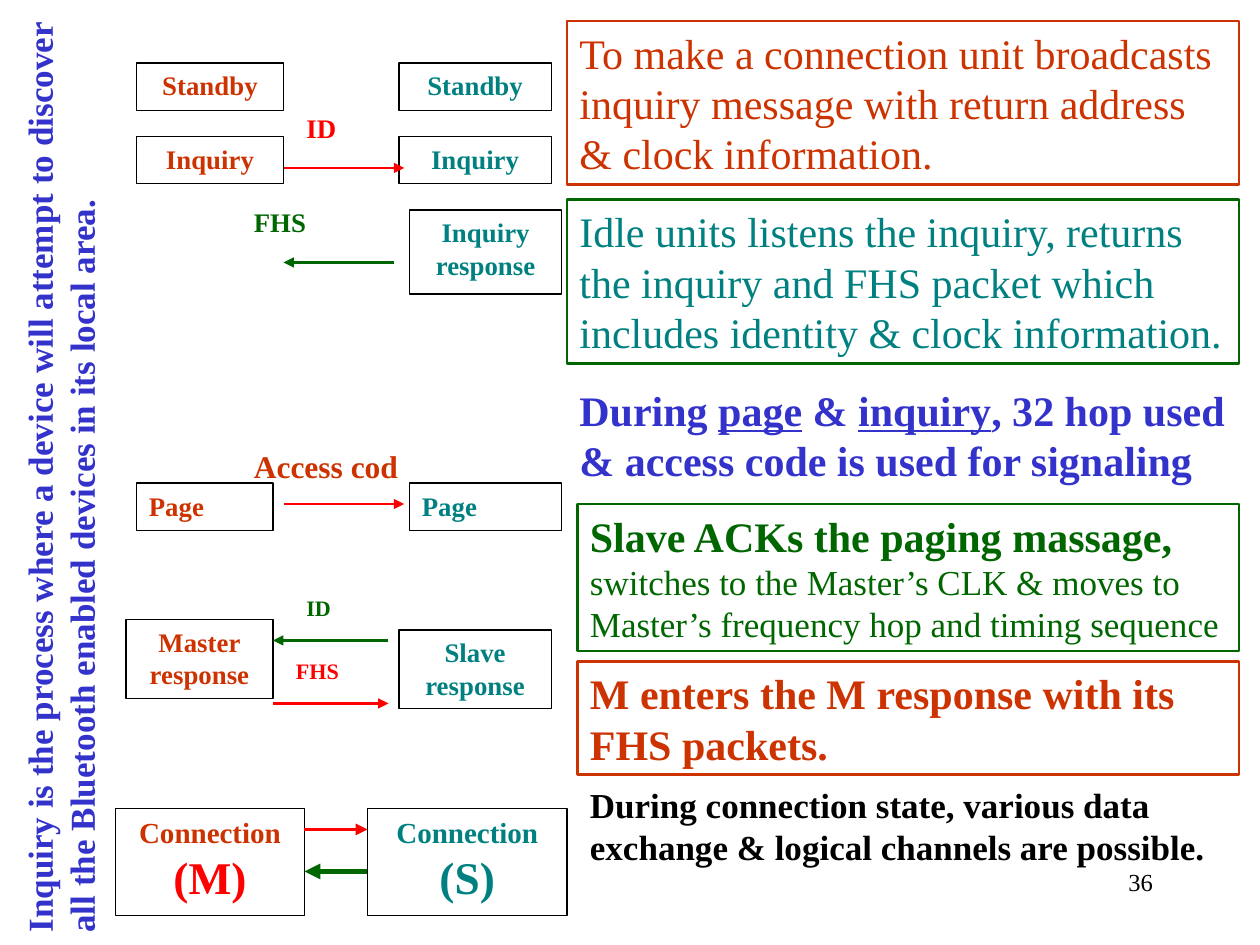
from dataclasses import dataclass

from lxml.etree import SubElement
from pptx import Presentation
from pptx.dml.color import RGBColor
from pptx.enum.shapes import MSO_CONNECTOR, MSO_SHAPE
from pptx.enum.text import MSO_ANCHOR, MSO_AUTO_SIZE, PP_ALIGN
from pptx.oxml.ns import qn
from pptx.util import Inches, Pt


@dataclass(frozen=True)
class Theme:
    font: str = "Times New Roman"
    master: str = "CC3300"
    slave: str = "008080"
    send: str = "FF0000"
    reply: str = "006600"
    remark: str = "3333CC"
    ink: str = "000000"
    paper: str = "FFFFFF"
    large: float = 24
    medium: float = 20
    code: float = 18
    state: float = 15.3
    small: float = 12.6
    number: float = 14
    link: float = 16.6
    role: float = 25.9


THEME = Theme()
CELLS_PER_INCH = 12  # the slide is a grid of 120 columns by 90 rows


def cells(count):
    return Inches(count / CELLS_PER_INCH)


def color(code):
    return RGBColor.from_string(code)


def run(text, size, ink, bold=True, underline=False):
    return text, size, ink, bold, underline


def write(shape, paragraphs, align=PP_ALIGN.LEFT, grow=False):
    """Fill a shape with paragraphs, each a list of runs."""
    frame = shape.text_frame
    frame.word_wrap = True
    frame.vertical_anchor = MSO_ANCHOR.TOP
    frame.auto_size = MSO_AUTO_SIZE.SHAPE_TO_FIT_TEXT if grow else MSO_AUTO_SIZE.NONE
    for index, runs in enumerate(paragraphs):
        paragraph = frame.add_paragraph() if index else frame.paragraphs[0]
        paragraph.alignment = align
        for text, size, ink, bold, underline in runs:
            part = paragraph.add_run()
            part.text = text
            part.font.name = THEME.font
            part.font.size = Pt(size)
            part.font.bold = bold
            part.font.underline = underline
            part.font.color.rgb = color(ink)


def add_box(slide, area, paragraphs, align=PP_ALIGN.LEFT, fill=None,
            line=None, weight=0.75, grow=False):
    """Add a rectangle; area is column, row, columns wide, rows high."""
    shape = slide.shapes.add_shape(MSO_SHAPE.RECTANGLE, *map(cells, area))
    shape.shadow.inherit = False
    if fill:
        shape.fill.solid()
        shape.fill.fore_color.rgb = color(fill)
    else:
        shape.fill.background()
    if line:
        shape.line.color.rgb = color(line)
        shape.line.width = Pt(weight)
    else:
        shape.line.fill.background()
    write(shape, paragraphs, align, grow)


def add_state(slide, area, lines, ink, align=PP_ALIGN.CENTER):
    paragraphs = [[run(line, THEME.state, ink)] for line in lines]
    add_box(slide, area, paragraphs, align, THEME.paper, THEME.ink)


def add_connection(slide, area, role, ink, role_ink):
    paragraphs = [[run("Connection", THEME.link, ink)],
                  [run(role, THEME.role, role_ink)]]
    add_box(slide, area, paragraphs, PP_ALIGN.CENTER, THEME.paper, THEME.ink)


def add_label(slide, area, text, size, ink):
    add_box(slide, area, [[run(text, size, ink)]], fill=THEME.paper)


def add_note(slide, area, line, *runs):
    add_box(slide, area, [runs], line=line, weight=1.5, grow=True)


def add_text(slide, area, *runs, align=PP_ALIGN.LEFT, grow=True):
    box = slide.shapes.add_textbox(*map(cells, area))
    write(box, [runs], align, grow)
    return box


def add_arrow(slide, start, end, row, ink, weight=1.5):
    """Add a level arrow from one column to another."""
    arrow = slide.shapes.add_connector(
        MSO_CONNECTOR.STRAIGHT, cells(start), cells(row), cells(end), cells(row))
    arrow.line.color.rgb = color(ink)
    arrow.line.width = Pt(weight)
    SubElement(arrow.line._get_or_add_ln(), qn("a:tailEnd"), type="triangle")
    SubElement(arrow._element.spPr, qn("a:effectLst"))


def add_states(slide):
    for row, name in ((6, "Standby"), (13, "Inquiry")):
        add_state(slide, (13, row, 14, 4.5), [name], THEME.master)
        add_state(slide, (38, row, 14.5, 4.5), [name], THEME.slave)
    add_state(slide, (39, 20, 14.5, 8), ["Inquiry", "response"], THEME.slave)
    add_state(slide, (13, 46, 13, 4.5), ["Page"], THEME.master, PP_ALIGN.LEFT)
    add_state(slide, (39, 46, 14.5, 4.5), ["Page"], THEME.slave, PP_ALIGN.LEFT)
    add_state(slide, (12, 59, 14, 7.5), ["Master", "response"], THEME.master)
    add_state(slide, (38, 60, 14.5, 7.5), ["Slave", "response"], THEME.slave)
    add_connection(slide, (11, 77, 18, 10.2), "(M)", THEME.master, THEME.send)
    add_connection(slide, (35, 77, 19, 10.2), "(S)", THEME.slave, THEME.slave)


def add_messages(slide):
    # Arrows from master to slave, then the replies
    for start, end, row, weight in ((27, 38.5, 16, 1.5), (27, 38.5, 48, 1.5),
                                    (26, 37, 67, 1.5), (29, 35, 79, 2.25)):
        add_arrow(slide, start, end, row, THEME.send, weight)
    for start, end, row, weight in ((37.5, 27, 25, 1.5), (37, 26, 61, 1.5),
                                    (35, 29, 83, 3)):
        add_arrow(slide, start, end, row, THEME.reply, weight)
    # Names of the packets
    add_label(slide, (28, 10, 6, 4.4), "ID", THEME.state, THEME.send)
    add_label(slide, (23, 19, 9, 4.4), "FHS", THEME.state, THEME.reply)
    add_label(slide, (28, 56, 6, 4), "ID", THEME.small, THEME.reply)
    add_label(slide, (27, 62, 9, 3.8), "FHS", THEME.small, THEME.send)
    add_text(slide, (23, 42, 17, 4.8), run("Access cod", THEME.code, THEME.master))


def add_notes(slide):
    add_note(slide, (54, 2, 64, 15.6), THEME.master,
             run("To make a connection unit broadcasts inquiry message with "
                 "return address & clock information.",
                 THEME.large, THEME.master, bold=False))
    add_note(slide, (54, 19, 64, 15.6), THEME.reply,
             run("Idle units listens the inquiry, returns the inquiry and FHS "
                 "packet which includes identity & clock information.",
                 THEME.large, THEME.slave, bold=False))
    hop_parts = (("During ", False), ("page", True), (" & ", False), ("inquiry", True),
                 (", 32 hop used & access code is used for signaling", False))
    add_text(slide, (54, 36, 64, 10.8),
             *(run(text, THEME.large, THEME.remark, underline=underline)
               for text, underline in hop_parts))
    add_note(slide, (55, 48, 63, 14), THEME.reply,
             run("Slave ACKs the paging massage, ", THEME.large, THEME.reply),
             run("switches to the Master’s CLK & moves to Master’s frequency "
                 "hop and timing sequence", THEME.medium, THEME.reply, bold=False))
    add_note(slide, (55, 63, 63, 10.8), THEME.master,
             run("M enters the M response with its FHS packets.",
                 THEME.large, THEME.master))
    add_text(slide, (55, 74, 63, 9.2),
             run("During connection state, various data exchange & logical "
                 "channels are possible.", THEME.medium, THEME.ink))


def add_margin_text(slide):
    definition = add_text(
        slide, (-40.3, 39.4, 92, 9.2),
        run("Inquiry is the process where a device will attempt to discover all "
            "the Bluetooth enabled devices in its local area.",
            THEME.medium, THEME.remark))
    definition.rotation = 270
    add_text(slide, (86, 82, 25, 6), run("36", THEME.number, THEME.ink, bold=False),
             align=PP_ALIGN.RIGHT, grow=False)


def main():
    presentation = Presentation()
    presentation.slide_width, presentation.slide_height = Inches(10), Inches(7.5)
    slide = presentation.slides.add_slide(presentation.slide_layouts[6])
    add_states(slide)
    add_messages(slide)
    add_notes(slide)
    add_margin_text(slide)
    presentation.save("out.pptx")


if __name__ == "__main__":
    main()
